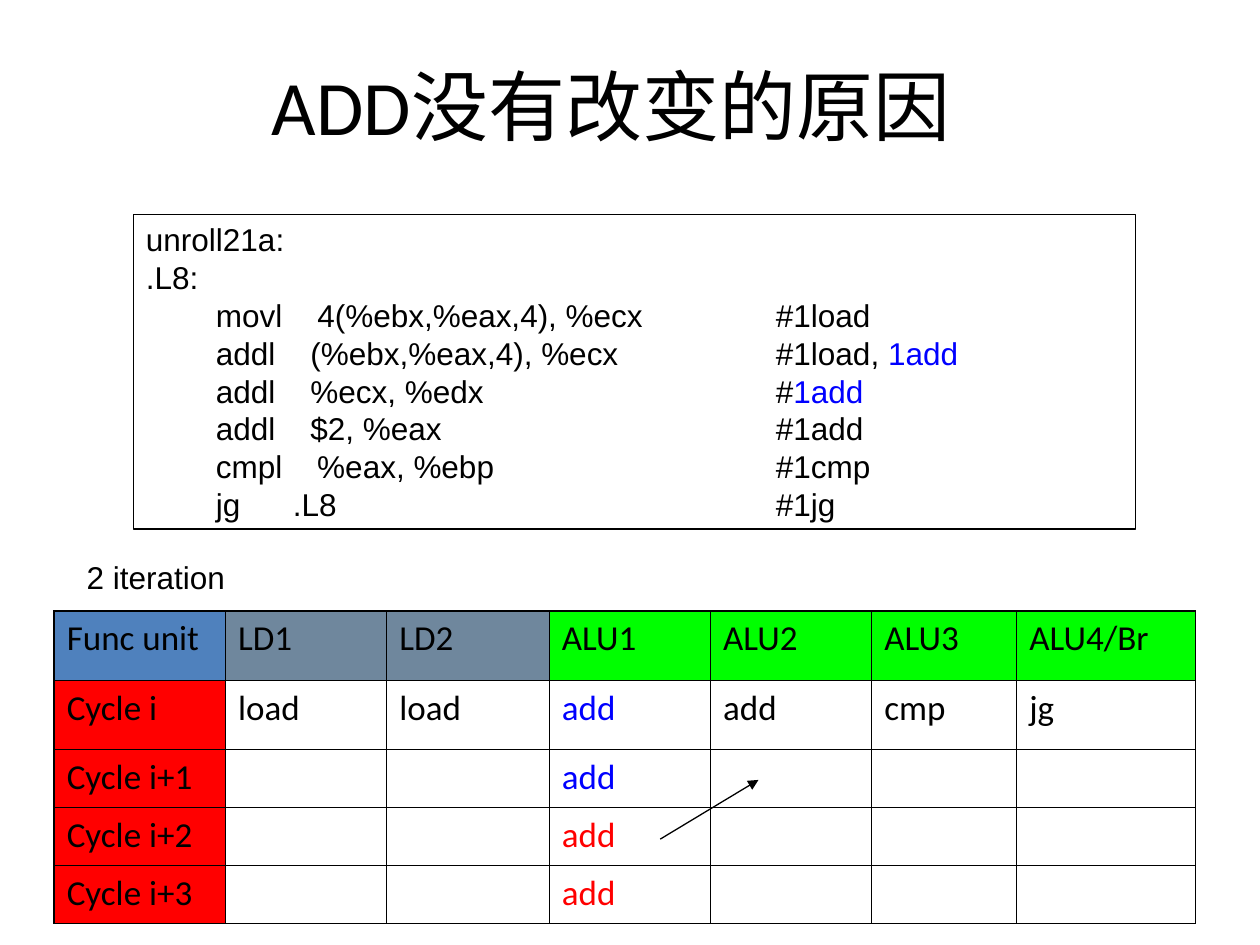
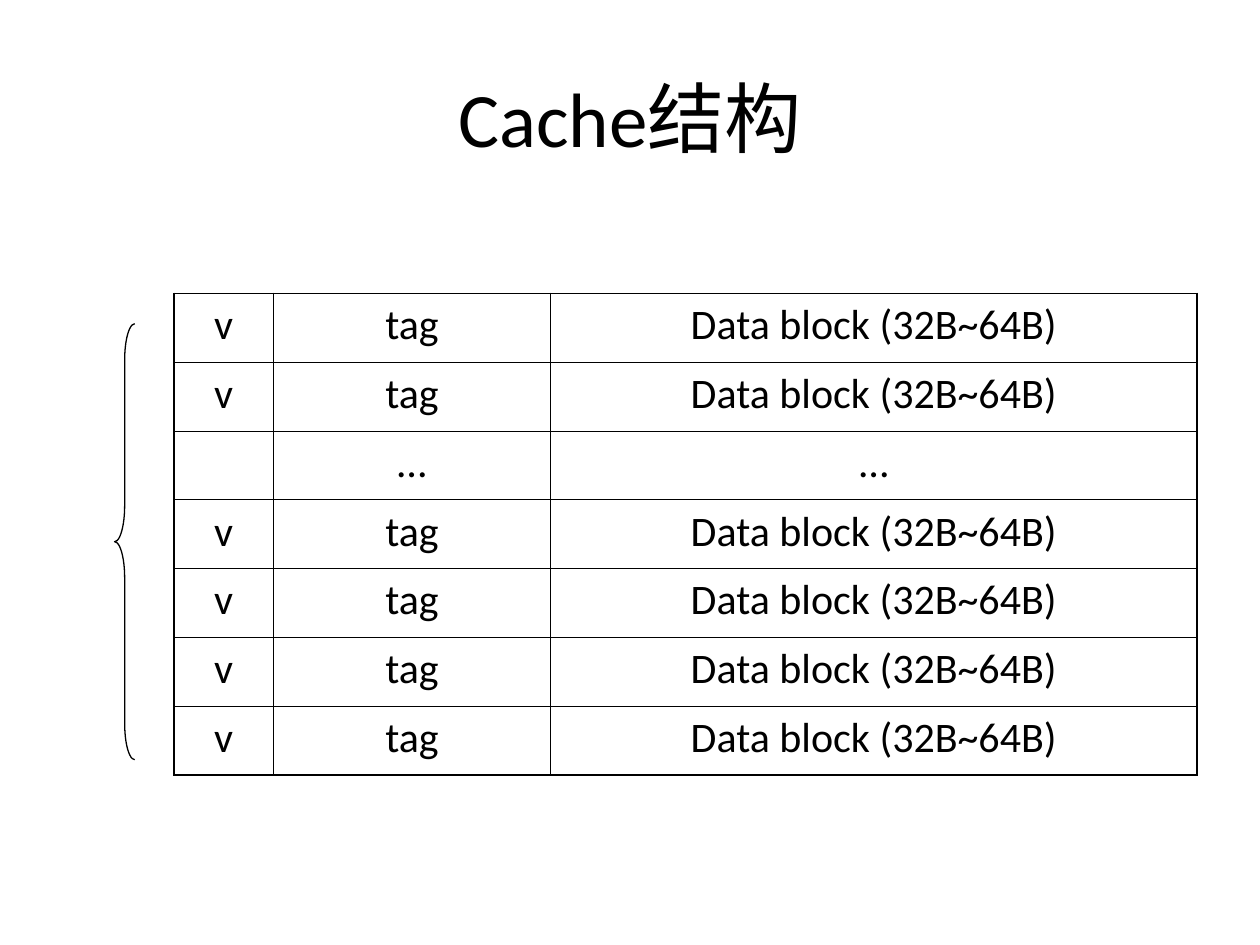
"""Build two slides: why the add count is unchanged, and how a cache is laid out."""
from lxml import etree
from pptx import Presentation
from pptx.dml.color import RGBColor
from pptx.enum.shapes import MSO_CONNECTOR, MSO_SHAPE
from pptx.enum.text import MSO_ANCHOR, MSO_AUTO_SIZE, PP_ALIGN
from pptx.oxml.ns import qn
from pptx.util import Inches, Pt

LEFT, CENTER = PP_ALIGN.LEFT, PP_ALIGN.CENTER
TOP, MIDDLE = MSO_ANCHOR.TOP, MSO_ANCHOR.MIDDLE
NO_AUTOFIT = MSO_AUTO_SIZE.NONE
RECTANGLE, LEFT_BRACE = MSO_SHAPE.RECTANGLE, MSO_SHAPE.LEFT_BRACE
STRAIGHT = MSO_CONNECTOR.STRAIGHT

BLACK, BLUE, RED = "000000", "0000FF", "FF0000"
GREEN, STEEL, SLATE = "00FF00", "4F81BD", "6F879D"
HEADING_FONT, CODE_FONT = "Calibri", "Arial"
OUTER_BORDER, INNER_BORDER, SHAPE_LINE = 1.08, 0.45, 0.75
TITLE_ONLY_LAYOUT = 5

CODE_LINES = [
    [("unroll21a:", BLACK)],
    [(".L8:", BLACK)],
    [("        movl    4(%ebx,%eax,4), %ecx\t#1load", BLACK)],
    [("        addl    (%ebx,%eax,4), %ecx\t#1load, ", BLACK), ("1add", BLUE)],
    [("        addl    %ecx, %edx\t#", BLACK), ("1add", BLUE)],
    [("        addl    $2, %eax\t#1add", BLACK)],
    [("        cmpl    %eax, %ebp\t#1cmp", BLACK)],
    [("        jg      .L8\t#1jg", BLACK)],
]
COMMENT_TAB = 5

UNIT_ROWS = [
    ["Func unit", "LD1", "LD2", "ALU1", "ALU2", "ALU3", "ALU4/Br"],
    ["Cycle i", "load", "load", "add", "add", "cmp", "jg"],
    ["Cycle i+1", "", "", "add", "", "", ""],
    ["Cycle i+2", "", "", "add", "", "", ""],
    ["Cycle i+3", "", "", "add", "", "", ""],
]
UNIT_WIDTHS = [1.36, 1.28, 1.29, 1.28, 1.28, 1.15, 1.42]
UNIT_HEIGHTS = [0.55, 0.55, 0.46, 0.46, 0.46]
UNIT_FILLS = {(0, column): fill for column, fill in
              enumerate([STEEL] + [SLATE] * 2 + [GREEN] * 4)}
UNIT_FILLS.update({(row, 0): RED for row in range(1, len(UNIT_ROWS))})
ADD_COLOURS = {(1, 3): BLUE, (2, 3): BLUE, (3, 3): RED, (4, 3): RED}

CACHE_LINE = ["v", "tag", "Data block (32B~64B)"]
CACHE_ROWS = [CACHE_LINE] * 2 + [["", "…", "…"]] + [CACHE_LINE] * 4
CACHE_WIDTHS = [0.79, 2.2, 5.13]
CACHE_HEIGHTS = [3.82 / len(CACHE_ROWS)] * len(CACHE_ROWS)


def colour(value):
    return RGBColor.from_string(value)


def style_font(font, name, size, value=BLACK):
    font.name, font.size = name, Pt(size)
    font.color.rgb = colour(value)


def style_line(line):
    line.color.rgb = colour(BLACK)
    line.width = Pt(SHAPE_LINE)


def add_titled_page(deck, title, left, top):
    page = deck.slides.add_slide(deck.slide_layouts[TITLE_ONLY_LAYOUT])
    box = page.shapes.title
    box.left, box.top, box.width, box.height = map(Inches, (left, top, 9, 1.25))
    frame = box.text_frame
    frame.text = title
    frame.auto_size, frame.vertical_anchor = NO_AUTOFIT, MIDDLE
    para = frame.paragraphs[0]
    para.alignment = CENTER
    style_font(para.runs[0].font, HEADING_FONT, 44)
    return page


def set_border(cell, tag, width):
    properties = cell._tc.get_or_add_tcPr()
    line = etree.SubElement(properties, qn(tag), w=str(Pt(width)))
    fill = etree.SubElement(line, qn("a:solidFill"))
    etree.SubElement(fill, qn("a:srgbClr"), val=BLACK)


def add_grid(page, left, top, rows, widths, heights, size,
             alignment=LEFT, fills={}, text_colours={}):
    frame = page.shapes.add_table(
        len(rows), len(widths), Inches(left), Inches(top),
        Inches(sum(widths)), Inches(sum(heights)))
    table = frame.table
    table.first_row = table.horz_banding = False
    for column, width in zip(table.columns, widths):
        column.width = Inches(width)
    for row, height in zip(table.rows, heights):
        row.height = Inches(height)
    for r, texts in enumerate(rows):
        for c, text in enumerate(texts):
            cell = table.cell(r, c)
            edges = {"a:lnL": c == 0, "a:lnR": c == len(widths) - 1,
                     "a:lnT": r == 0, "a:lnB": r == len(rows) - 1}
            for tag, outer in edges.items():
                set_border(cell, tag, OUTER_BORDER if outer else INNER_BORDER)
            if (r, c) in fills:
                cell.fill.solid()
                cell.fill.fore_color.rgb = colour(fills[r, c])
            else:
                cell.fill.background()
            cell.text_frame.text = text
            para = cell.text_frame.paragraphs[0]
            para.alignment = alignment
            for span in para.runs:
                style_font(span.font, HEADING_FONT, size,
                           text_colours.get((r, c), BLACK))


def add_outline(page, shape, left, top, width, height):
    box = page.shapes.add_shape(
        shape, Inches(left), Inches(top), Inches(width), Inches(height))
    box.shadow.inherit = False
    box.fill.background()
    style_line(box.line)
    return box


def add_code_box(page):
    frame = add_outline(page, RECTANGLE, 1.06, 1.7, 7.95, 2.5).text_frame
    frame.word_wrap, frame.vertical_anchor = True, TOP
    for index, spans in enumerate(CODE_LINES):
        para = frame.add_paragraph() if index else frame.paragraphs[0]
        para.alignment = LEFT
        tabs = etree.SubElement(para._p.get_or_add_pPr(), qn("a:tabLst"))
        etree.SubElement(tabs, qn("a:tab"), pos=str(Inches(COMMENT_TAB)), algn="l")
        for text, value in spans:
            span = para.add_run()
            span.text = text
            style_font(span.font, CODE_FONT, 18, value)


def add_label(page, text, left, top, width, height):
    box = page.shapes.add_textbox(
        Inches(left), Inches(top), Inches(width), Inches(height))
    frame = box.text_frame
    frame.word_wrap = True
    frame.text = text
    style_font(frame.paragraphs[0].runs[0].font, CODE_FONT, 18)


def add_arrow(page, *ends):
    arrow = page.shapes.add_connector(STRAIGHT, *map(Inches, ends))
    style_line(arrow.line)
    etree.SubElement(arrow.line._get_or_add_ln(), qn("a:tailEnd"), type="triangle")
    etree.SubElement(arrow._element.spPr, qn("a:effectLst"))


def build_add_page(deck):
    page = add_titled_page(deck, "ADD没有改变的原因", 0.35, 0.21)
    add_grid(page, 0.43, 4.85, UNIT_ROWS, UNIT_WIDTHS, UNIT_HEIGHTS, 20,
             fills=UNIT_FILLS, text_colours=ADD_COLOURS)
    add_code_box(page)
    add_label(page, "2 iteration", 0.59, 4.38, 1.57, 0.4)
    add_arrow(page, 5.24, 6.66, 6.02, 6.19)


def build_cache_page(deck):
    page = add_titled_page(deck, "Cache结构", 0.5, 0.3)
    add_grid(page, 1.38, 2.33, CACHE_ROWS, CACHE_WIDTHS, CACHE_HEIGHTS, 24, CENTER)
    brace = add_outline(page, LEFT_BRACE, 0.91, 2.57, 0.16, 3.46)
    brace.adjustments[0] = 1.8


def main():
    deck = Presentation()
    deck.slide_width, deck.slide_height = Inches(10), Inches(7.5)
    build_add_page(deck)
    build_cache_page(deck)
    deck.save("out.pptx")


if __name__ == "__main__":
    main()
